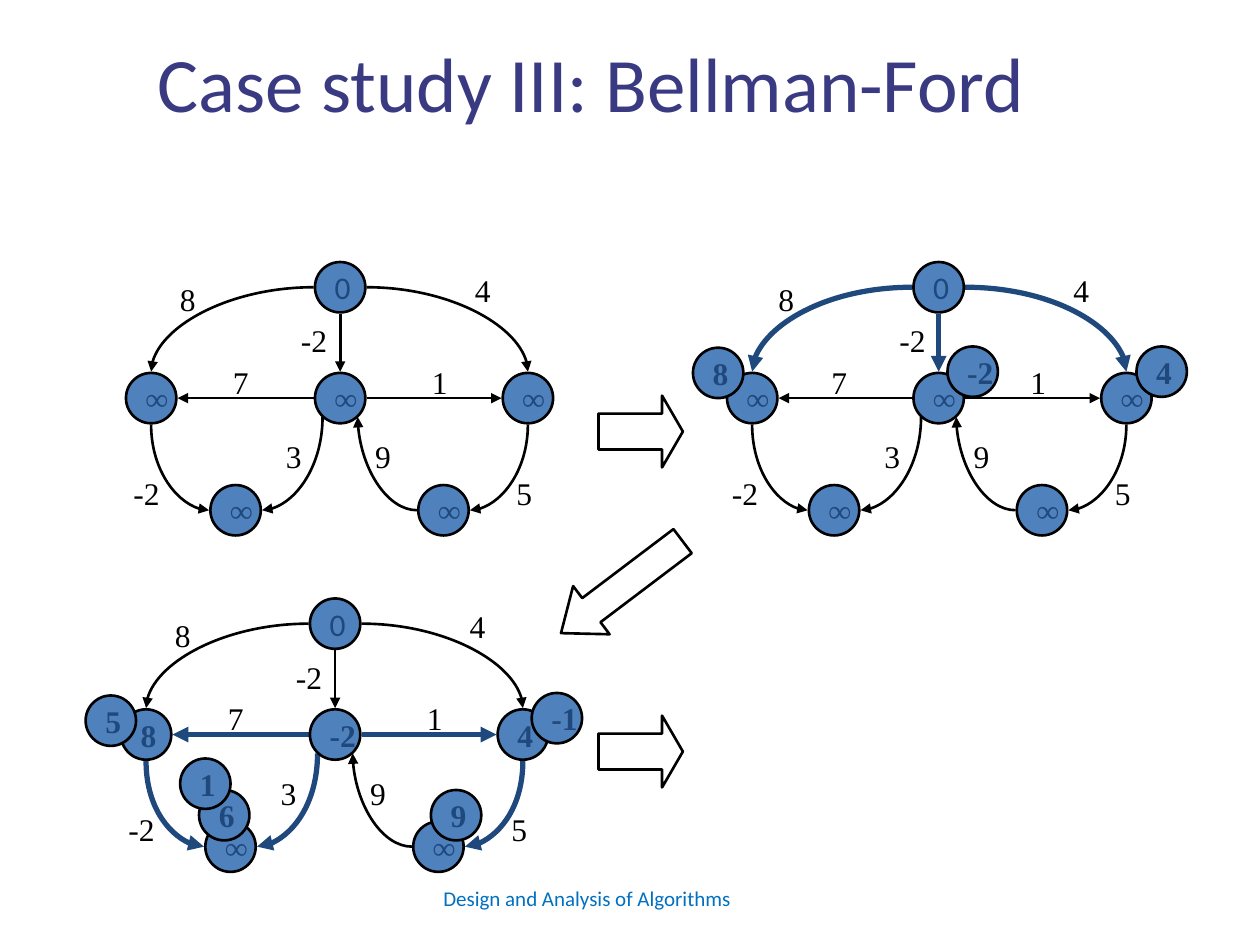
from dataclasses import dataclass, field
from typing import NamedTuple

from lxml.etree import SubElement
from pptx import Presentation
from pptx.dml.color import RGBColor
from pptx.enum.shapes import MSO_CONNECTOR as Link, MSO_SHAPE as Shape
from pptx.enum.text import MSO_ANCHOR as Anchor, MSO_AUTO_SIZE as AutoSize, PP_ALIGN as Align
from pptx.oxml.ns import qn
from pptx.util import Inches, Pt

COLORS = {
    "ink": "000000", "node": "4F81BD", "active": "1F497D",
    "title": "3A3A82", "footer": "0070C0",
}
SANS, SERIF = "Calibri", "Times New Roman"
COLUMNS, ROWS = 100, 75  # square grid cells over the slide
SLIDE_WIDTH, SLIDE_HEIGHT = Inches(10), Inches(7.5)
DIAMETER = 4
REACH = DIAMETER / 2 + 0.1  # from a node's centre to an edge's end


class Point(NamedTuple):
    x: float
    y: float

    def shifted(self, dx: float, dy: float) -> "Point":
        return Point(self.x + dx, self.y + dy)


class Edge(NamedTuple):
    weight: str
    label: Point
    start: str
    start_offset: Point
    end: str
    end_offset: Point
    arrow_at_end: bool = True
    curved: bool = True


class Badge(NamedTuple):
    value: str
    corner: Point


@dataclass
class Stage:
    origin: Point
    values: dict = field(default_factory=dict)
    relaxed: tuple = ()
    badges: tuple = ()
    west_shift: float = 0


class BlockArrow(NamedTuple):
    kind: Shape
    corner: Point
    width: float
    height: float
    head: float
    rotation: float = 0


NODES = {  # centres, relative to a stage's origin
    "source": Point(17, 2), "west": Point(2, 10.8), "hub": Point(17, 10.8),
    "east": Point(31.9, 10.8), "southwest": Point(8.7, 19.7), "southeast": Point(25.2, 19.7),
}
LEFT, RIGHT = Point(-REACH, 0), Point(REACH, 0)
TOP, BOTTOM = Point(0, -REACH), Point(0, REACH)
HUB_LEFT, HUB_RIGHT = Point(-1.4, 1.5), Point(1.4, 1.5)

# Curves leave their start horizontally and meet their end vertically.
EDGES = {
    "source-west": Edge("8", Point(3.3, 0.9), "source", LEFT, "west", TOP),
    "source-east": Edge("4", Point(26.7, 0.2), "source", RIGHT, "east", TOP),
    "source-hub": Edge("-2", Point(12.9, 4.2), "source", BOTTOM, "hub", TOP, curved=False),
    "hub-west": Edge("7", Point(7.5, 7.5), "hub", LEFT, "west", RIGHT, curved=False),
    "hub-east": Edge("1", Point(23.3, 7.5), "hub", RIGHT, "east", LEFT, curved=False),
    "west-southwest": Edge("-2", Point(-0.4, 16.3), "southwest", LEFT, "west", BOTTOM, False),
    "hub-southwest": Edge("3", Point(11.7, 13.4), "southwest", RIGHT, "hub", HUB_LEFT, False),
    "southeast-hub": Edge("9", Point(18.8, 13.4), "southeast", LEFT, "hub", HUB_RIGHT),
    "east-southeast": Edge("5", Point(30, 16.3), "southeast", RIGHT, "east", BOTTOM, False),
}
STAGES = [
    Stage(Point(10, 20.8)),
    Stage(
        Point(57.5, 20.8),
        relaxed=("source-west", "source-hub", "source-east"),
        badges=(Badge("8", Point(55, 27.6)), Badge("-2", Point(75.2, 27.5)),
                Badge("4", Point(90.2, 27.5))),
        west_shift=0.2,
    ),
    Stage(
        Point(9.6, 47.5),
        values={"west": "8", "hub": "-2", "east": "4"},
        relaxed=("hub-west", "hub-east", "west-southwest", "hub-southwest", "east-southeast"),
        badges=(Badge("-1", Point(42.2, 55)), Badge("5", Point(6.8, 55.2)),
                Badge("6", Point(15.8, 62.7)), Badge("1", Point(14.3, 60.2)),
                Badge("9", Point(34.2, 62.7))),
    ),
]
BLOCK_ARROWS = [
    BlockArrow(Shape.RIGHT_ARROW, Point(47.5, 31.4), 6.7, 5.7, 0.29),
    BlockArrow(Shape.LEFT_ARROW, Point(43.3, 44.2), 12.1, 4.8, 0.63, 322.9),
    BlockArrow(Shape.RIGHT_ARROW, Point(47.5, 56.8), 6.7, 5.7, 0.29),
]


def color(name: str) -> RGBColor:
    return RGBColor.from_string(COLORS[name])


def grid(*cells: float) -> list:
    """Turn alternating column and row counts into slide lengths."""
    units = (SLIDE_WIDTH / COLUMNS, SLIDE_HEIGHT / ROWS)
    return [round(count * units[i % 2]) for i, count in enumerate(cells)]


def write(frame, text: str, size: float, ink: str, font: str = SERIF,
          bold: bool = False, align: Align = Align.LEFT) -> None:
    paragraph = frame.paragraphs[0]
    paragraph.alignment = align
    run = paragraph.add_run()
    run.text = text
    run.font.name, run.font.size, run.font.bold = font, Pt(size), bold
    run.font.color.rgb = color(ink)


def outline(shape) -> None:
    shape.shadow.inherit = False
    shape.line.color.rgb = color("ink")
    shape.line.width = Pt(1.5)


def draw_node(shapes, value: str, corner: Point, font: str = SERIF) -> None:
    node = shapes.add_shape(Shape.OVAL, *grid(*corner, DIAMETER, DIAMETER))
    outline(node)
    node.fill.solid()
    node.fill.fore_color.rgb = color("node")
    node.text_frame.word_wrap = False
    node.text_frame.vertical_anchor = Anchor.MIDDLE
    write(node.text_frame, value, 18, "active", font, bold=font == SERIF)


def draw_edge(shapes, edge: Edge, centres: dict, relaxed: bool) -> None:
    start = centres[edge.start].shifted(*edge.start_offset)
    end = centres[edge.end].shifted(*edge.end_offset)
    kind = Link.CURVE if edge.curved else Link.STRAIGHT
    link = shapes.add_connector(kind, *grid(*start, *end))
    link.line.color.rgb = color("active" if relaxed else "ink")
    link.line.width = Pt(3 if relaxed else 1.5)
    properties = link._element.spPr
    if edge.curved:
        properties.find(qn("a:prstGeom")).set("prst", "curvedConnector2")
    tip = "a:tailEnd" if edge.arrow_at_end else "a:headEnd"
    SubElement(properties.find(qn("a:ln")), qn(tip), type="triangle")
    SubElement(properties, qn("a:effectLst"))


def draw_weight(shapes, weight: str, corner: Point) -> None:
    width = 3.3 if len(weight) == 1 else 4.1
    frame = shapes.add_textbox(*grid(*corner, width, 4)).text_frame
    frame.word_wrap = False
    frame.auto_size = AutoSize.SHAPE_TO_FIT_TEXT
    write(frame, weight, 18, "ink")


def draw_stage(shapes, stage: Stage) -> None:
    centres = {name: centre.shifted(*stage.origin) for name, centre in NODES.items()}
    centres["west"] = centres["west"].shifted(stage.west_shift, 0)
    for name, edge in EDGES.items():
        draw_edge(shapes, edge, centres, name in stage.relaxed)
    for name, centre in centres.items():
        corner = centre.shifted(-DIAMETER / 2, -DIAMETER / 2)
        if name == "source":
            draw_node(shapes, "0", corner, SANS)
        else:
            draw_node(shapes, stage.values.get(name, "∞"), corner)
    for edge in EDGES.values():
        draw_weight(shapes, edge.weight, edge.label.shifted(*stage.origin))
    for badge in stage.badges:
        draw_node(shapes, badge.value, badge.corner)


def draw_block_arrow(shapes, arrow: BlockArrow) -> None:
    block = shapes.add_shape(arrow.kind, *grid(*arrow.corner, arrow.width, arrow.height))
    outline(block)
    block.fill.background()
    block.adjustments[0], block.adjustments[1] = 0.5, arrow.head
    block.rotation = arrow.rotation


def main() -> None:
    deck = Presentation()
    deck.slide_width, deck.slide_height = SLIDE_WIDTH, SLIDE_HEIGHT
    slide = deck.slides.add_slide(deck.slide_layouts[5])
    shapes = slide.shapes

    title = shapes.title
    title.left, title.top, title.width, title.height = grid(-3, 1.8, 101.3, 6.3)
    heading = title.text_frame
    heading.auto_size = AutoSize.NONE
    heading.vertical_anchor = Anchor.TOP
    heading.margin_top = heading.margin_bottom = Inches(0.1)
    write(heading, "Case study III: Bellman-Ford ", 44, "title", SANS, align=Align.CENTER)

    for stage in STAGES:
        draw_stage(shapes, stage)
    for arrow in BLOCK_ARROWS:
        draw_block_arrow(shapes, arrow)

    footer = shapes.add_textbox(*grid(34.2, 69.8, 31.7, 4)).text_frame
    footer.word_wrap = True
    write(footer, "Design and Analysis of Algorithms", 12, "footer", SANS)
    deck.save("out.pptx")


if __name__ == "__main__":
    main()
